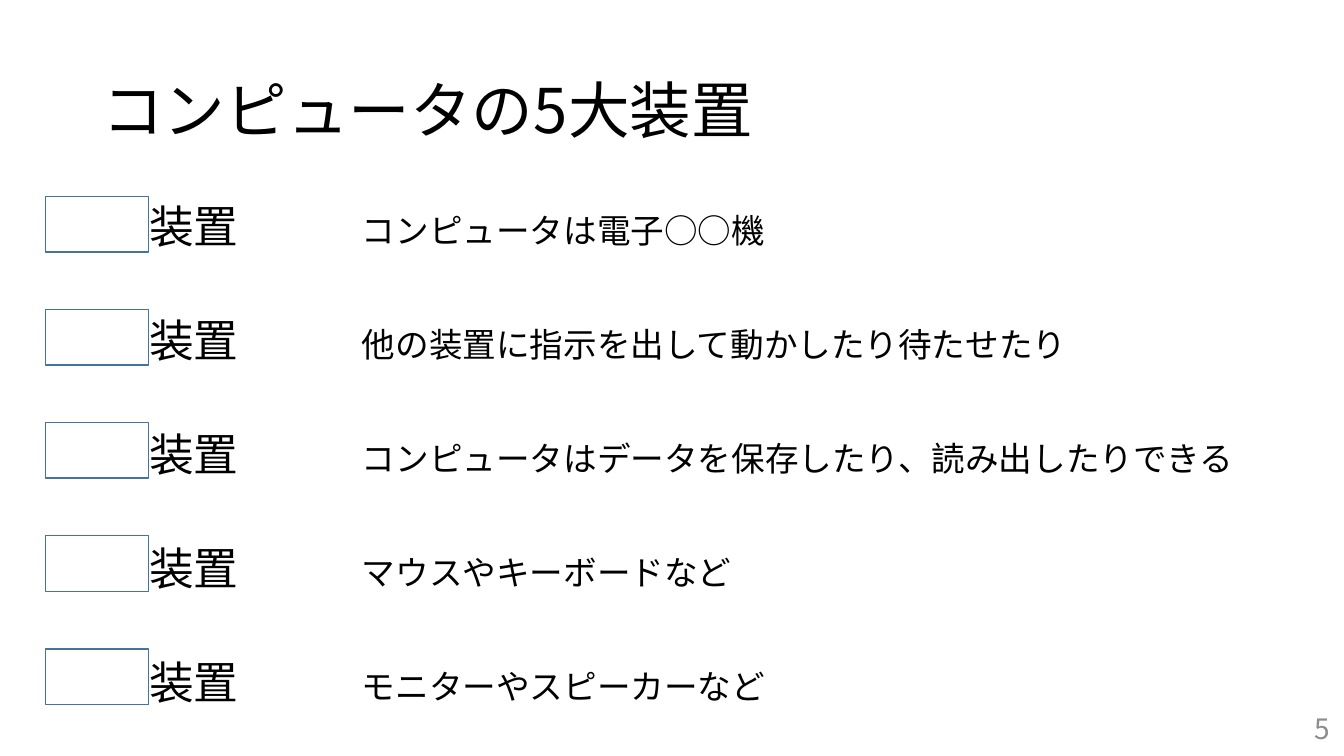
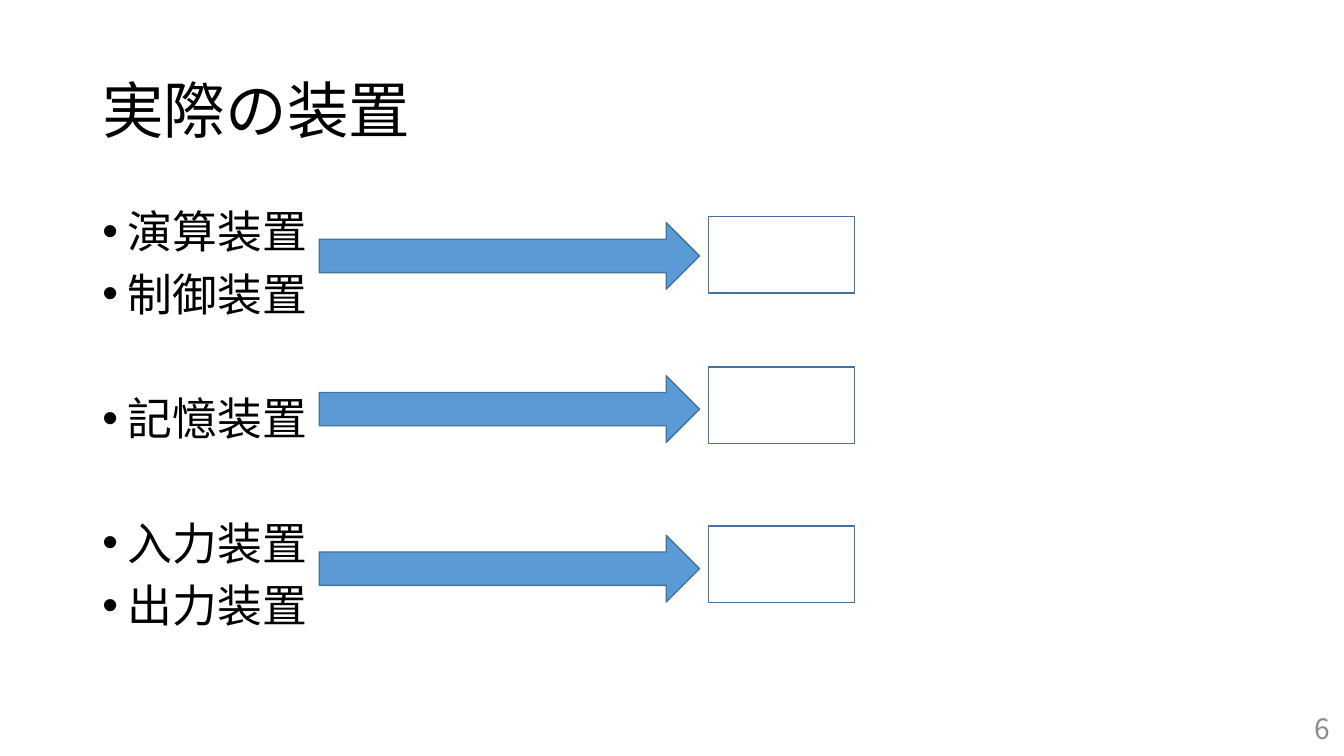
from lxml.etree import SubElement
from pptx import Presentation
from pptx.dml.color import RGBColor
from pptx.enum.shapes import MSO_SHAPE
from pptx.enum.text import MSO_ANCHOR, PP_ALIGN
from pptx.oxml.ns import qn
from pptx.util import Cm, Pt

FONT = "Noto Sans CJK JP"
BLACK, WHITE, GRAY = "000000", "FFFFFF", "8C8C8C"
BLUE, OUTLINE = "5B9BD5", "43739E"

UNITS = {
    "title": "コンピュータの5大装置",
    "number": "5",
    "label": "装置",
    "hints": [
        "コンピュータは電子○○機",
        "他の装置に指示を出して動かしたり待たせたり",
        "コンピュータはデータを保存したり、読み出したりできる",
        "マウスやキーボードなど",
        "モニターやスピーカーなど",
    ],
}
DEVICES = {
    "title": "実際の装置",
    "number": "6",
    "groups": [["演算装置", "制御装置"], ["記憶装置"], ["入力装置", "出力装置"]],
    "arrow_tops": [5.61, 9.47, 13.49],
    "blank_tops": [5.46, 9.25, 13.26],
}


def rgb(color):
    return RGBColor.from_string(color)


def add_run(p, text, size=32, color=BLACK):
    r = p.add_run()
    r.text = text
    r.font.name = FONT
    r.font.size = Pt(size)
    r.font.color.rgb = rgb(color)
    SubElement(r.font._element, qn("a:ea"), typeface=FONT)


def add_paragraph(tf, *runs, align=PP_ALIGN.LEFT, line=None, before=0,
                  bullet=False, tab=None):
    """Fill the frame's empty first paragraph, or append one; runs are (text, format)."""
    p = tf.paragraphs[0]
    if p.runs:
        p = tf.add_paragraph()
    p.alignment = align
    p.line_spacing = line
    p.space_before = Pt(before)
    pPr = p._p.get_or_add_pPr()
    if bullet:
        indent = Cm(0.64)
        pPr.set("marL", str(indent))
        pPr.set("indent", str(-indent))
        SubElement(pPr, qn("a:buFont"), typeface="Arial")
        SubElement(pPr, qn("a:buChar"), char="•")
    if tab:
        tabs = SubElement(pPr, qn("a:tabLst"))
        SubElement(tabs, qn("a:tab"), pos=str(Cm(tab)), algn="l")
    for text, style in runs:
        add_run(p, text, **style)


def add_frame(slide, x, y, w, h, anchor=MSO_ANCHOR.TOP):
    tf = slide.shapes.add_textbox(Cm(x), Cm(y), Cm(w), Cm(h)).text_frame
    tf.word_wrap = True
    tf.vertical_anchor = anchor
    return tf


def add_block(slide, x, y, w, h, kind=MSO_SHAPE.RECTANGLE, fill=WHITE):
    sp = slide.shapes.add_shape(kind, Cm(x), Cm(y), Cm(w), Cm(h))
    sp.shadow.inherit = False
    sp.fill.solid()
    sp.fill.fore_color.rgb = rgb(fill)
    sp.line.color.rgb = rgb(OUTLINE)
    sp.line.width = Pt(1)


def add_slide(prs, content):
    slide = prs.slides.add_slide(prs.slide_layouts[6])
    title = add_frame(slide, 2.33, 1.02, 29.21, 3.68, MSO_ANCHOR.MIDDLE)
    add_paragraph(title, (content["title"], {"size": 44}), line=0.9)
    number = add_frame(slide, 26.16, 17.83, 7.62, 1.02, MSO_ANCHOR.MIDDLE)
    add_paragraph(number, (content["number"], {"size": 20, "color": GRAY}),
                  align=PP_ALIGN.RIGHT)
    return slide


def build_units(prs):
    slide = add_slide(prs, UNITS)
    tf = add_frame(slide, 3.51, 5.08, 29, 13.39)
    for i, hint in enumerate(UNITS["hints"]):
        add_paragraph(tf, (UNITS["label"] + "\t", {}), (hint, {"size": 24}),
                      line=Pt(33), before=48.4 if i else 0, tab=5.36)
        add_block(slide, 1.14, 4.95 + 2.85 * i, 2.6, 1.4)


def build_devices(prs):
    slide = add_slide(prs, DEVICES)
    tf = add_frame(slide, 2.33, 5.08, 6.76, 12.09)
    line, gap = 36.6, 7.9
    for g, group in enumerate(DEVICES["groups"]):
        for i, name in enumerate(group):
            new_group = g > 0 and i == 0
            add_paragraph(tf, (name, {}), line=Pt(line), bullet=True,
                          before=line + 2 * gap if new_group else gap * (i > 0))
    for top in DEVICES["arrow_tops"]:
        add_block(slide, 8.05, top, 9.58, 1.68, MSO_SHAPE.RIGHT_ARROW, BLUE)
    for top in DEVICES["blank_tops"]:
        add_block(slide, 17.86, top, 3.68, 1.93)


def main():
    prs = Presentation()
    prs.slide_width, prs.slide_height = Cm(33.87), Cm(19.05)
    build_units(prs)
    build_devices(prs)
    prs.save("out.pptx")


if __name__ == "__main__":
    main()
